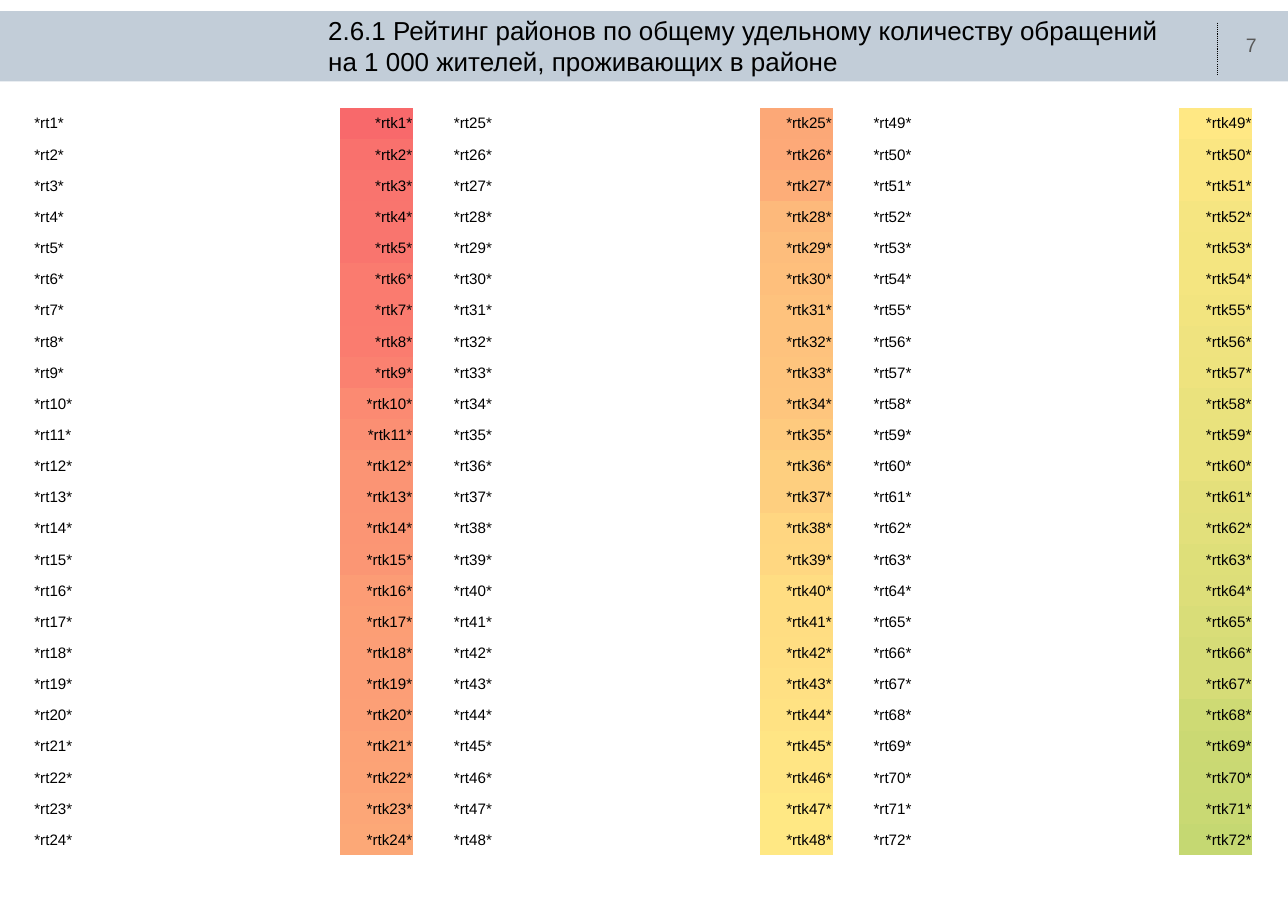
"""Builds the slide rating districts by appeals per 1,000 residents."""
from pptx import Presentation
from pptx import util as u
from pptx.dml import color
from pptx.enum import dml, shapes, text
from pptx.oxml import ns, xmlchemy

Cm, Pt = u.Cm, u.Pt
ROWS = 24
SHADES = """
F8696B F9716D F9746E F9756E F9756E FA7B6F FA7B6F FA7C6F FA8170 FB8A72 FB8F73 FB9474
FB9474 FB9574 FB9674 FC9C75 FC9E75 FC9E76 FC9E76 FC9F76 FCA276 FCA376 FCA677 FCA877
FCA877 FDA978 FDAD78 FDB97B FDBD7C FEBF7C FEC27D FEC27D FEC47D FEC57D FECA7E FECF7F
FECF7F FFD681 FFD781 FFDD82 FFDD82 FFDE82 FFE083 FFE283 FFE584 FFE584 FFE884 FFE884
FFE884 FAE682 FAE682 F5E581 F4E580 F4E580 F2E47F EFE37F EEE37E EAE27D E9E27D E9E27D
E4E07B E2E07B DEDF79 DDDE79 D9DD78 D6DC77 D6DC77 CEDA74 CBD973 CAD973 C9D973 C5D872
""".split()


def paint(fmt, shade):
    fmt.solid()
    fmt.fore_color.rgb = color.RGBColor.from_string(shade)


def style(para, size, shade, align):
    para.alignment = align
    para.font.size = Pt(size)
    para.font.name = "Arial"
    paint(para.font.fill, shade)


deck = Presentation()
deck.slide_width, deck.slide_height = Cm(41.99), Cm(29.69)
slide = deck.slides.add_slide(deck.slide_layouts[6])
left, mid, right = text.PP_ALIGN.LEFT, text.PP_ALIGN.CENTER, text.PP_ALIGN.RIGHT

band = slide.shapes.add_shape(shapes.MSO_SHAPE.RECTANGLE, 0, Cm(0.36), Cm(41.99), Cm(2.29))
band.shadow.inherit = False
paint(band.fill, "C2CDD8")
band.line.fill.background()

rule = slide.shapes.add_connector(
    shapes.MSO_CONNECTOR.STRAIGHT, Cm(39.7), Cm(0.74), Cm(39.7), Cm(2.46))
paint(rule.line.fill, "000000")
rule.line.width = Pt(1)
rule.line.dash_style = dml.MSO_LINE.ROUND_DOT
rule.element.spPr.append(xmlchemy.OxmlElement("a:effectLst"))

labels = [
    ("7", (39.7, 0.84, 2.18, 1.3), 0.25, 18, "595959", mid, text.MSO_ANCHOR.TOP),
    ("2.6.1 Рейтинг районов по общему удельному количеству обращений\n"
     "на 1 000 жителей, проживающих в районе",
     (10.34, 0.53, 41.99, 1.93), 0.36, 24, "000000", left, text.MSO_ANCHOR.MIDDLE),
]
for words, place, pad, size, shade, align, anchor in labels:
    frame = slide.shapes.add_textbox(*map(Cm, place)).text_frame
    frame.word_wrap = True
    frame.vertical_anchor = anchor
    frame.margin_left = frame.margin_right = Cm(pad)
    frame.margin_top = frame.margin_bottom = Cm(pad)
    frame.text = words
    for para in frame.paragraphs:
        style(para, size, shade, align)

widths = [10, 2.38, 1.3, 10, 2.38, 1.3, 10, 2.38]
holder = slide.shapes.add_table(
    ROWS, len(widths), Cm(1.09), Cm(3.51), Cm(sum(widths)), Cm(24.38))
holder.element.find(".//" + ns.qn("a:tableStyleId")).text = "{2D5ABB26-0587-4C30-8999-92F81FD0307C}"
table = holder.table
table.first_row = table.horz_banding = False
for col, width in enumerate(widths):
    table.columns[col].width = Cm(width)
    block, part = divmod(col, 3)
    for row in range(ROWS):
        cell = table.cell(row, col)
        rank = block * ROWS + row + 1
        cell.margin_left = cell.margin_right = cell.margin_top = Cm(0.03)
        cell.margin_bottom = 0
        cell.vertical_anchor = text.MSO_ANCHOR.MIDDLE
        cell.text = (f"*rt{rank}*", f"*rtk{rank}*", "")[part]
        style(cell.text_frame.paragraphs[0], 14, "000000", right if part == 1 else left)
        if part == 1:
            paint(cell.fill, SHADES[rank - 1])
        else:
            cell.fill.background()

deck.save("out.pptx")
